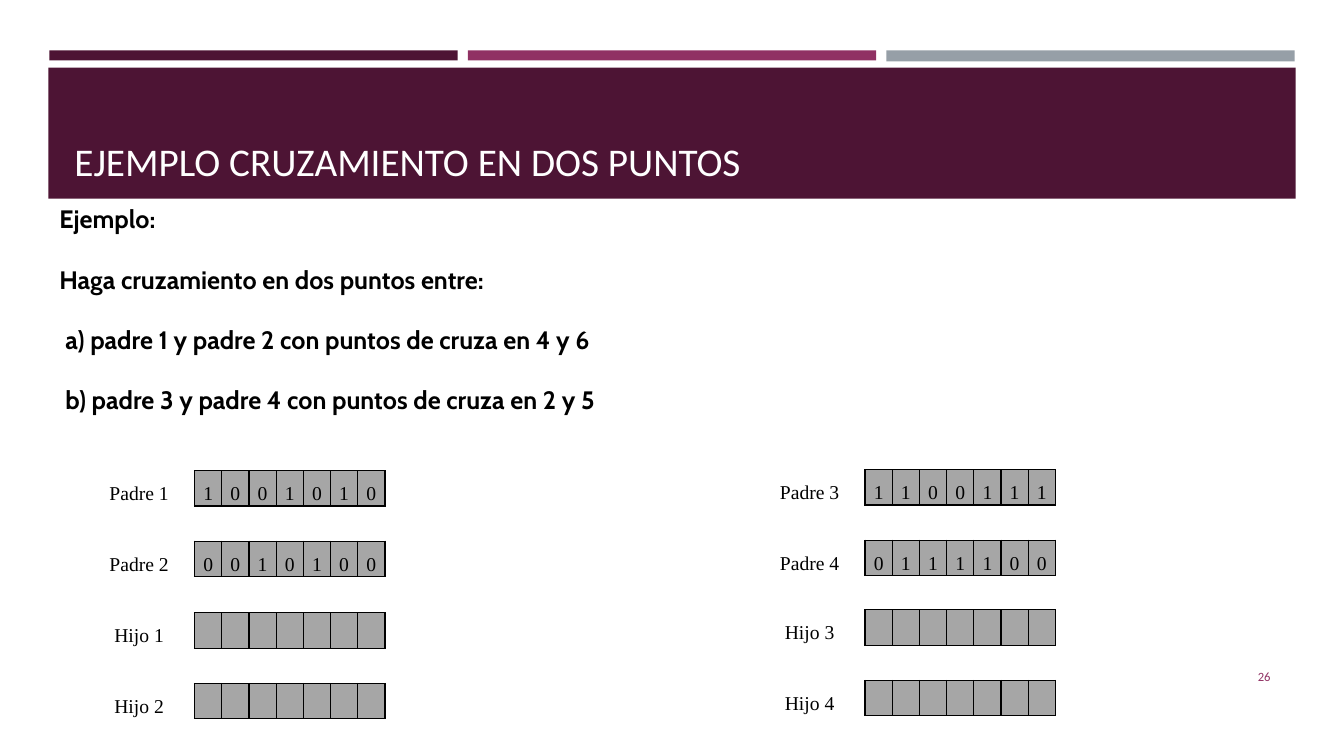
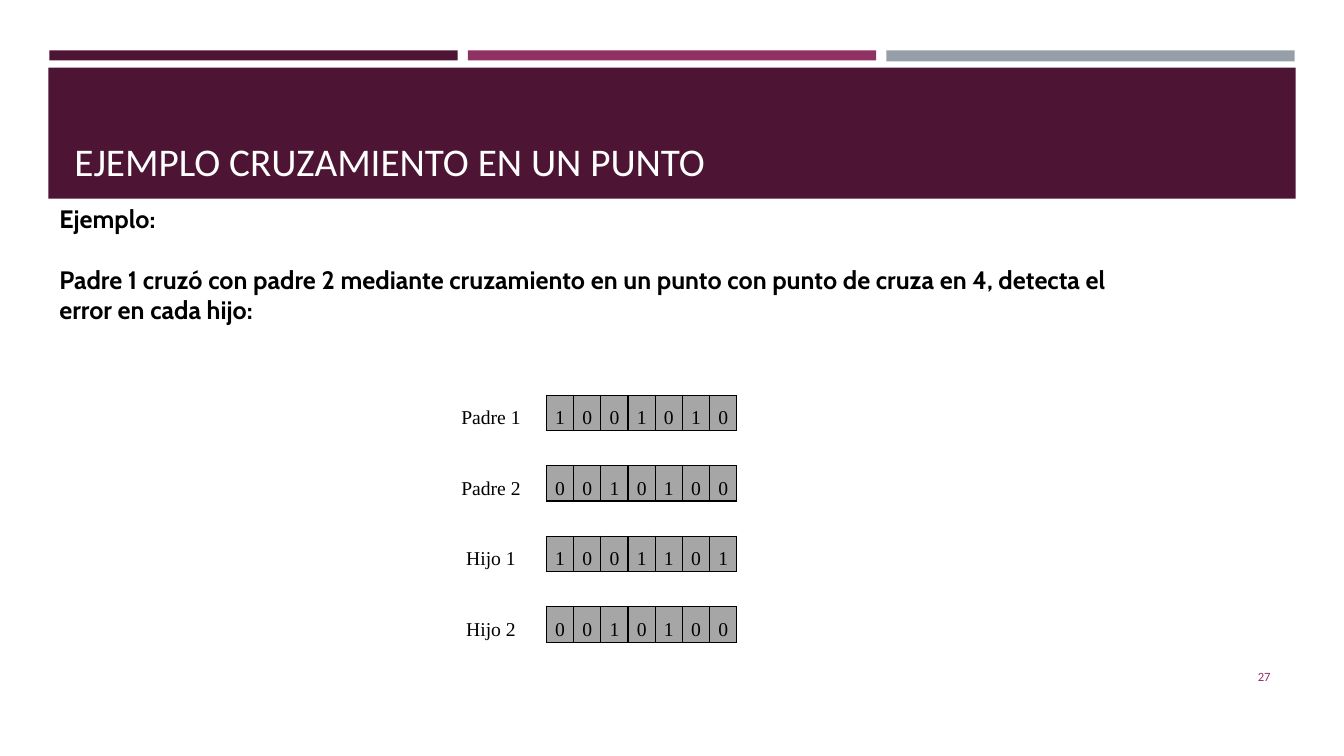
from lxml import etree
from pptx import Presentation
from pptx.dml.color import RGBColor as Rgb
from pptx.enum.shapes import MSO_SHAPE as Shape
from pptx.enum.text import MSO_ANCHOR as Anchor, PP_ALIGN as Align
from pptx.oxml.ns import qn
from pptx.util import Inches, Pt

# Content: each grid is (left, top, label and bits of each row)
SLIDES = [
    {
        "title": "EJEMPLO CRUZAMIENTO EN DOS PUNTOS",
        "number": "26",
        "body_height": 2.22,
        "body": [
            ("Ejemplo:", 0),
            ("Haga cruzamiento en dos puntos entre:", 0),
            ("a) padre 1 y padre 2 con puntos de cruza en 4 y 6", 0.06),
            ("b) padre 3 y padre 4 con puntos de cruza en 2 y 5", 0.06),
        ],
        "grids": [
            (0.83, 4.67, [("Padre 1", "1001010"), ("Padre 2", "0010100")]),
            (0.83, 6.08, [("Hijo 1", ""), ("Hijo 2", "")]),
            (7.48, 4.66, [("Padre 3", "1100111"), ("Padre 4", "0111100")]),
            (7.48, 6.05, [("Hijo 3", ""), ("Hijo 4", "")]),
        ],
    },
    {
        "title": "EJEMPLO CRUZAMIENTO EN UN PUNTO",
        "number": "27",
        "body_height": 1.31,
        "body": [
            ("Ejemplo:", 0),
            ("Padre 1 cruzó con padre 2 mediante cruzamiento en un punto con "
             "punto de cruza en 4, detecta el error en cada hijo:", 0),
        ],
        "grids": [
            (4.32, 3.92, [("Padre 1", "1001010"), ("Padre 2", "0010100")]),
            (4.32, 5.32, [("Hijo 1", "1001101"), ("Hijo 2", "0010100")]),
        ],
    },
]

# Theme: colours, type styles and paragraph styles
THEME = {
    "plum": "4D1434", "berry": "903163", "steel": "969FA7",
    "white": "FFFFFF", "black": "000000", "bit": "A6A6A6",
    "fonts": {
        "title": {"name": "Calibri", "size": Pt(28), "color": "white"},
        "number": {"name": "Calibri", "size": Pt(9), "color": "berry"},
        "body": {"name": "Cabin", "size": Pt(18), "color": "black", "bold": True},
        "cell": {"name": "Times New Roman", "size": Pt(14), "color": "black"},
    },
    "paragraphs": {
        "title": {},
        "number": {"alignment": Align.RIGHT, "space_after": Pt(6)},
        "body": {"space_after": Pt(21.5)},
        "cell": {"alignment": Align.CENTER, "line_spacing": 1.5, "space_after": Pt(12)},
    },
}

BAND_LEFT, BAND_WIDTH, BAND_GAP = 0.49, 4.05, 0.1
BANDS = [("plum", 0.1), ("berry", 0.1), ("steel", 0.11)]
BITS = 7
LABEL_WIDTH, BIT_WIDTH, ROW_HEIGHT = 1.1, 0.27, 0.35
SIDES = ("L", "R", "T", "B")


def color(name):
    return Rgb.from_string(THEME[name])


def write(para, text, style):
    for key, value in THEME["paragraphs"][style].items():
        setattr(para, key, value)
    span = para.add_run()
    span.text = text
    for key, value in THEME["fonts"][style].items():
        if key == "color":
            span.font.color.rgb = color(value)
        else:
            setattr(span.font, key, value)


def add_band(page, place, fill):
    band = page.shapes.add_shape(Shape.RECTANGLE, *map(Inches, place))
    band.shadow.inherit = False
    band.fill.solid()
    band.fill.fore_color.rgb = color(fill)
    band.line.fill.background()


def add_text(page, place, lines, style, anchor):
    frame = page.shapes.add_textbox(*map(Inches, place)).text_frame
    frame.word_wrap = True
    frame.vertical_anchor = anchor
    for index, (text, indent) in enumerate(lines):
        para = frame.paragraphs[0] if index == 0 else frame.add_paragraph()
        write(para, text, style)
        if indent:
            para._p.get_or_add_pPr().set("marL", str(Inches(indent)))


def format_cell(cell, text, fill, borders):
    for key, value in {"margin_left": Inches(0.07), "margin_right": Inches(0.07),
                       "margin_top": 0, "margin_bottom": 0,
                       "vertical_anchor": Anchor.MIDDLE}.items():
        setattr(cell, key, value)
    cell.fill.solid()
    cell.fill.fore_color.rgb = color(fill)
    para = cell.text_frame.paragraphs[0]
    if text:
        write(para, text, "cell")
    else:
        size = int(THEME["fonts"]["cell"]["size"].pt * 100)
        etree.SubElement(para._p, qn("a:endParaRPr"), sz=str(size))
    # Borders come before the fill in the cell properties
    properties = cell._tc.get_or_add_tcPr()
    for index, side in enumerate(SIDES):
        line = etree.Element(qn(f"a:ln{side}"), w=str(Pt(1)))
        if side in borders:
            paint = etree.SubElement(line, qn("a:solidFill"))
            etree.SubElement(paint, qn("a:srgbClr"), val=THEME["black"])
        else:
            etree.SubElement(line, qn("a:noFill"))
        properties.insert(index, line)


def add_grid(page, left, top, chromosomes):
    # A gap row stands between the two chromosomes
    first, second = chromosomes
    rows = [first, None, second]
    widths = [LABEL_WIDTH] + [BIT_WIDTH] * BITS
    table = page.shapes.add_table(
        len(rows), len(widths), Inches(left), Inches(top),
        Inches(sum(widths)), Inches(ROW_HEIGHT * len(rows))).table
    table.first_row = table.horz_banding = False
    for column, width in zip(table.columns, widths):
        column.width = Inches(width)
    for index, row in enumerate(rows):
        table.rows[index].height = Inches(ROW_HEIGHT)
        label, bits = row or ("", "")
        format_cell(table.cell(index, 0), label, "white", "R" if row else "")
        for position, bit in enumerate(bits.ljust(BITS), start=1):
            format_cell(table.cell(index, position), bit.strip(),
                        "bit" if row else "white", "LRTB" if row else "TB")
    table.cell(1, 1).merge(table.cell(1, BITS))


def add_frame(page, title, number):
    # Top bands, title block and page number
    for index, (fill, height) in enumerate(BANDS):
        left = BAND_LEFT + index * (BAND_WIDTH + BAND_GAP)
        add_band(page, (left, 0.5, BAND_WIDTH, height), fill)
    add_band(page, (0.48, 0.67, 12.37, 1.3), "plum")
    add_text(page, (0.64, 0.77, 12.06, 1.11), [(title, 0)], "title", Anchor.BOTTOM)
    add_text(page, (11.55, 6.51, 1.15, 0.4), [(number, 0)], "number", Anchor.MIDDLE)


def main():
    deck = Presentation()
    deck.slide_width, deck.slide_height = Inches(13.33), Inches(7.5)
    for content in SLIDES:
        page = deck.slides.add_slide(deck.slide_layouts[6])
        add_frame(page, content["title"], content["number"])
        add_text(page, (0.49, 1.97, 11.13, content["body_height"]),
                 content["body"], "body", Anchor.TOP)
        for grid in content["grids"]:
            add_grid(page, *grid)
    deck.save("out.pptx")


if __name__ == "__main__":
    main()
